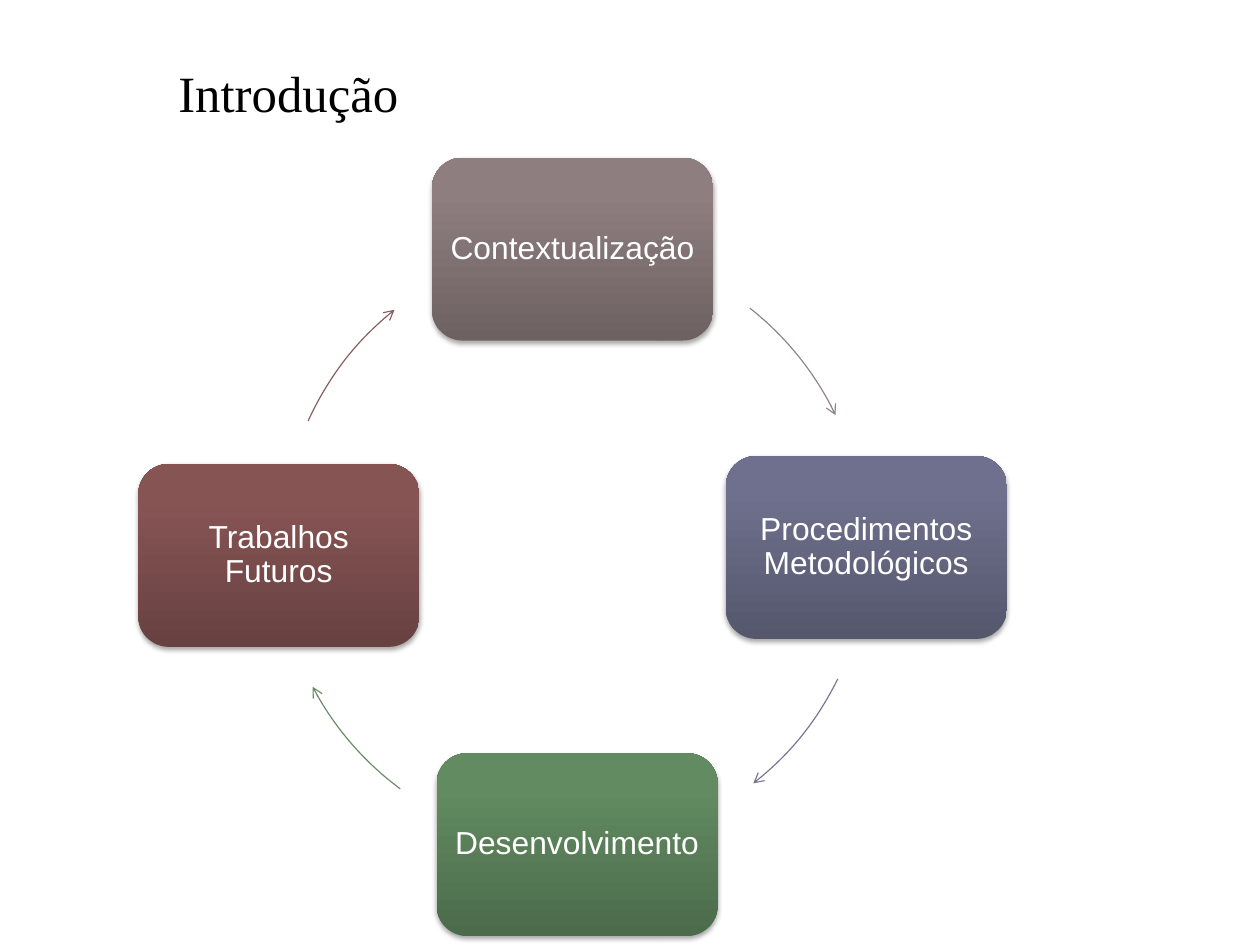
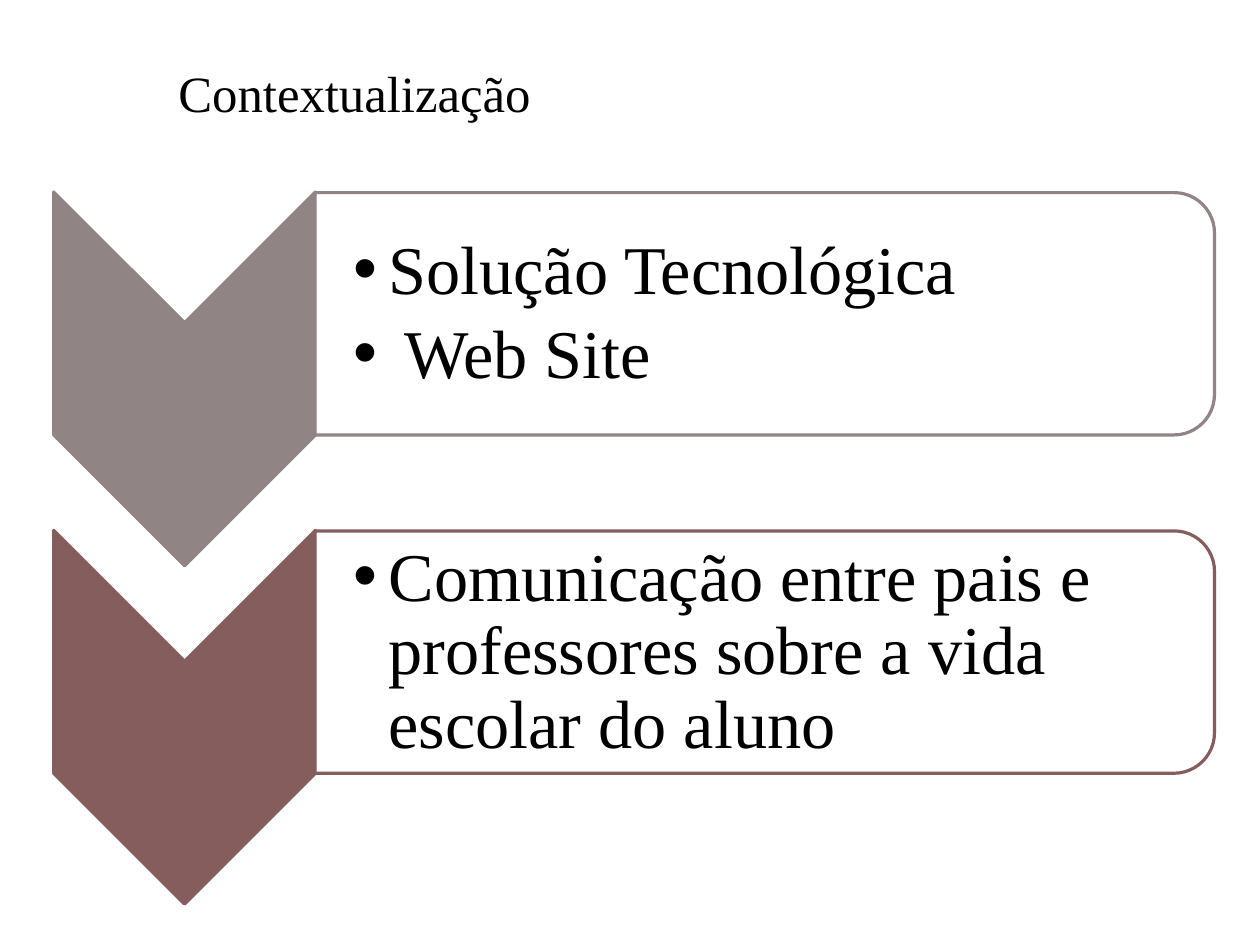
import pptx
import pptx.util
import pptx.dml.color
import pptx.enum.shapes
import pptx.enum.text
import pptx.oxml
import pptx.oxml.ns
from pptx.util import Inches

COLORS = {
    "black": "000000", "white": "FFFFFF",
    "taupe": "918485", "taupe_dark": "6E6162", "taupe_light": "8E7E7F",
    "blue": "76778E", "blue_dark": "55576D", "blue_light": "6F708D",
    "green": "6A8A69", "green_dark": "4B6B4B", "green_light": "628B61",
    "red": "855D5D", "red_dark": "684141", "red_light": "875454",
}
RGB = {name: pptx.dml.color.RGBColor.from_string(value) for name, value in COLORS.items()}
TITLE_FONT, NODE_FONT = "Times New Roman", "Arial"
SHAPES = pptx.enum.shapes.MSO_SHAPE
ANCHOR = pptx.enum.text.MSO_ANCHOR


def add_xml(parent, tag, **attributes):
    child = pptx.oxml.parse_xml(f"<{tag} {pptx.oxml.ns.nsdecls('a')}/>")
    for name, value in attributes.items():
        child.set(name, str(value))
    parent.append(child)
    return child


def add_run(paragraph, text, font, size, color, spacing):
    paragraph.line_spacing = spacing
    run = paragraph.add_run()
    run.text = text
    run.font.name = font
    run.font.size = pptx.util.Pt(size)
    run.font.color.rgb = RGB[color]


# Page of 28 by 21 centimetres
presentation = pptx.Presentation()
presentation.slide_width, presentation.slide_height = Inches(28 / 2.54), Inches(21 / 2.54)

# Slides with their shared title style
slides = []
for text, layout in [("Introdução", "Title Only"), ("Contextualização", "Two Content")]:
    slide = presentation.slides.add_slide(presentation.slide_layouts.get_by_name(layout))
    title = slide.shapes.title
    title.left, title.top, title.width, title.height = map(Inches, (1.46, 0.51, 4.19, 0.5))
    frame = title.text_frame
    frame.auto_size = pptx.enum.text.MSO_AUTO_SIZE.NONE
    frame.word_wrap = False
    frame.vertical_anchor = ANCHOR.TOP
    frame.margin_top = Inches(0.08)
    frame.paragraphs[0].alignment = pptx.enum.text.PP_ALIGN.LEFT
    add_run(frame.paragraphs[0], text, TITLE_FONT, 32, "black", 0.93)
    slides.append(slide)
cycle_slide, list_slide = slides

# Cycle: node text, colour, node left and top, arc left, arc start and end angle
ARC_TOP, ARC_SIZE = 2.13, 5.29
cycle = [
    ("Contextualização ", "taupe", 3.78, 1.38, 2.28, 308.2, 334.4),
    ("Procedimentos Metodológicos", "blue", 6.35, 3.99, 2.31, 26.1, 51.8),
    ("Desenvolvimento", "green", 3.82, 6.59, 2.43, 126.5, 152.2),
    ("Trabalhos Futuros", "red", 1.21, 4.06, 2.46, 204.4, 231.3),
]
for text, color, left, top, arc_left, start, end in cycle:
    node = cycle_slide.shapes.add_shape(
        SHAPES.ROUNDED_RECTANGLE, Inches(left), Inches(top), Inches(2.46), Inches(1.6))
    node.fill.gradient()
    node.fill.gradient_angle = 90
    for stop, shade, position in zip(node.fill.gradient_stops, ("dark", "light"), (0, 0.8)):
        stop.color.rgb = RGB[f"{color}_{shade}"]
        stop.position = position
    node.line.fill.background()

    # Soft shadow below the node
    node.shadow.inherit = False
    effects = node.element.spPr.find(pptx.oxml.ns.qn("a:effectLst"))
    shadow = add_xml(effects, "a:outerShdw", blurRad=pptx.util.Pt(3.1),
                     dist=pptx.util.Pt(1.8), dir=5400000, rotWithShape=0)
    shadow_color = add_xml(shadow, "a:srgbClr", val=COLORS["black"])
    add_xml(shadow_color, "a:alpha", val=35000)

    frame = node.text_frame
    frame.word_wrap = True
    frame.vertical_anchor = ANCHOR.MIDDLE
    frame.margin_left = frame.margin_right = Inches(0.08)
    frame.margin_top = frame.margin_bottom = Inches(0.08)
    frame.paragraphs[0].alignment = pptx.enum.text.PP_ALIGN.CENTER
    add_run(frame.paragraphs[0], text, NODE_FONT, 20, "white", 0.9)

    # Arc arrow to the next node; one adjustment unit is 100000/60000 degrees
    arc = cycle_slide.shapes.add_shape(
        SHAPES.ARC, Inches(arc_left), Inches(ARC_TOP), Inches(ARC_SIZE), Inches(ARC_SIZE))
    arc.adjustments[0], arc.adjustments[1] = start * 0.6, end * 0.6
    arc.shadow.inherit = False
    arc.fill.background()
    arc.line.color.rgb = RGB[color]
    arc.line.width = pptx.util.Pt(0.75)
    add_xml(arc.get_or_add_ln(), "a:tailEnd", type="arrow")

# Chevron list: one row per colour
ROW_TOP, ROW_STEP = 1.68, 2.96
rows = [
    ("taupe", ["Solução Tecnológica", " Web Site"]),
    ("red", ["Comunicação entre pais e professores sobre a vida escolar do aluno"]),
]
bodies = list(list_slide.placeholders)[1:]
for index, ((color, items), body) in enumerate(zip(rows, bodies)):
    row_top = ROW_TOP + index * ROW_STEP
    for kind, left, top, width, height in [
        (SHAPES.CHEVRON, -0.02, row_top + 0.49, 3.27, 2.29),
        (SHAPES.ROUND_2_SAME_RECTANGLE, 5.63, row_top - 2.87, 2.12, 7.87),
    ]:
        shape = list_slide.shapes.add_shape(
            kind, Inches(left), Inches(top), Inches(width), Inches(height))
        shape.rotation = 90
        shape.shadow.inherit = False
        shape.fill.solid()
        shape.fill.fore_color.rgb = RGB[color if kind == SHAPES.CHEVRON else "white"]
        shape.line.color.rgb = RGB[color]
        shape.line.width = pptx.util.Pt(2)
    panel_color = shape.element.spPr.find(pptx.oxml.ns.qn("a:solidFill"))[0]
    add_xml(panel_color, "a:alpha", val=90000)

    # Bulleted text in front of the panel
    body.left, body.top = Inches(2.76), Inches(row_top + 0.11)
    body.width, body.height = Inches(7.77), Inches(1.92)
    body.element.getparent().append(body.element)
    frame = body.text_frame
    frame.auto_size = pptx.enum.text.MSO_AUTO_SIZE.NONE
    frame.word_wrap = True
    frame.vertical_anchor = ANCHOR.MIDDLE
    frame.margin_left = Inches(0.33)
    frame.margin_top = frame.margin_right = frame.margin_bottom = Inches(0.03)
    for number, item in enumerate(items):
        paragraph = frame.add_paragraph() if number else frame.paragraphs[0]
        paragraph.level = 1
        paragraph.space_before = pptx.util.Pt(0)
        paragraph.space_after = pptx.util.Pt(6.5)
        add_run(paragraph, item, TITLE_FONT, 43, "black", 0.9)
        properties = paragraph._p.get_or_add_pPr()
        properties.set("marL", str(Inches(0.31)))
        properties.set("indent", str(-Inches(0.31)))
        add_xml(properties, "a:buChar", char="•")

presentation.save("out.pptx")
